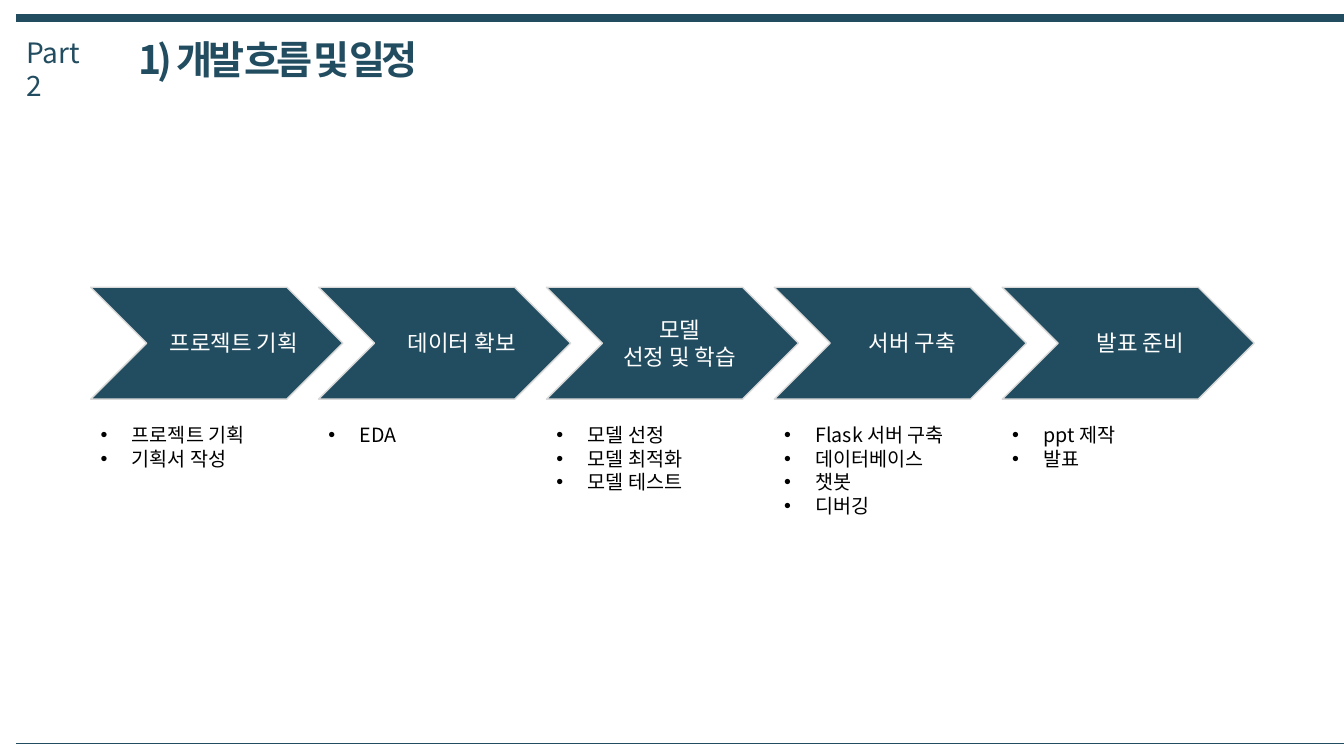
import pptx
import pptx.dml.color
import pptx.enum.shapes
import pptx.enum.text
import pptx.oxml.ns
import pptx.util
from pptx.util import Inches

NAVY = pptx.dml.color.RGBColor(0x22, 0x4D, 0x60)
WHITE = pptx.dml.color.RGBColor(0xFF, 0xFF, 0xFF)
BLACK = pptx.dml.color.RGBColor(0x00, 0x00, 0x00)
GREY = pptx.dml.color.RGBColor(0xD9, 0xD9, 0xD9)
FONT = "Noto Sans CJK KR"
ALIGN = pptx.enum.text.PP_ALIGN

STEP_LEFT, STEP_PITCH = 0.9, 2.26
STEP_TOP, STEP_WIDTH, STEP_HEIGHT = 2.85, 2.5, 1.11

# Label lines, label offset from the chevron's left edge, tasks
STEPS = [
    (["프로젝트 기획"], 0.58, ["프로젝트 기획", "기획서 작성"]),
    (["데이터 확보"], 0.58, ["EDA"]),
    (["모델", "선정 및 학습"], 0.48, ["모델 선정", "모델 최적화", "모델 테스트"]),
    (["서버 구축"], 0.53, ["Flask 서버 구축", "데이터베이스", "챗봇", "디버깅"]),
    (["발표 준비"], 0.53, ["ppt 제작", "발표"]),
]
STEPS[2] = (STEPS[2][0], 0.48, STEPS[2][2])


def add_rule(slide, y, weight):
    rule = slide.shapes.add_connector(
        pptx.enum.shapes.MSO_CONNECTOR.STRAIGHT,
        Inches(0.16), Inches(y), Inches(13.35), Inches(y))
    rule.line.color.rgb = NAVY
    rule.line.width = pptx.util.Pt(weight)
    properties = rule._element.spPr
    properties.append(properties.makeelement(pptx.oxml.ns.qn("a:effectLst"), {}))


def add_bullet(paragraph):
    properties = paragraph._p.get_or_add_pPr()
    indent = Inches(0.31)
    properties.set("marL", str(indent))
    properties.set("indent", str(-indent))
    for tag, attribute, value in (("a:buFont", "typeface", "Arial"),
                                  ("a:buChar", "char", "•")):
        properties.append(properties.makeelement(pptx.oxml.ns.qn(tag), {attribute: value}))


def write_lines(frame, lines, size, color, align=ALIGN.LEFT, bold=False,
                bulleted=False, tracking=None):
    """Fill a text frame with one paragraph per line."""
    frame.word_wrap = True
    frame.vertical_anchor = pptx.enum.text.MSO_ANCHOR.TOP
    font_format = {"size": pptx.util.Pt(size), "bold": bold, "name": FONT}
    for number, line in enumerate(lines):
        paragraph = frame.add_paragraph() if number else frame.paragraphs[0]
        paragraph.alignment = align
        if bulleted:
            add_bullet(paragraph)
        run = paragraph.add_run()
        run.text = line
        for attribute, value in font_format.items():
            setattr(run.font, attribute, value)
        run.font.color.rgb = color
        properties = run._r.get_or_add_rPr()
        properties.append(properties.makeelement(pptx.oxml.ns.qn("a:ea"), {"typeface": FONT}))
        if tracking is not None:
            properties.set("spc", str(tracking * 100))


def add_text(slide, left, top, width, height, lines, size, color, **options):
    box = slide.shapes.add_textbox(Inches(left), Inches(top), Inches(width), Inches(height))
    write_lines(box.text_frame, lines, size, color, **options)


def add_title(slide, text):
    title = slide.shapes.title
    bounds = {"left": 1.27, "top": 0.3, "width": 5.79, "height": 0.57}
    for attribute, value in bounds.items():
        setattr(title, attribute, Inches(value))
    title.text_frame.auto_size = pptx.enum.text.MSO_AUTO_SIZE.NONE
    write_lines(title.text_frame, [text], 28, NAVY, bold=True, tracking=-3)
    title.text_frame.paragraphs[0].line_spacing = 1.0


def add_chevron(slide, left):
    chevron = slide.shapes.add_shape(
        pptx.enum.shapes.MSO_SHAPE.CHEVRON, Inches(left), Inches(STEP_TOP),
        Inches(STEP_WIDTH), Inches(STEP_HEIGHT))
    chevron.shadow.inherit = False
    chevron.fill.solid()
    chevron.fill.fore_color.rgb = NAVY
    chevron.line.color.rgb = GREY
    chevron.line.width = pptx.util.Pt(1)


def add_step(slide, left, label, label_offset, tasks):
    add_chevron(slide, left)
    label_height = 0.1 + 0.27 * len(label)
    label_top = STEP_TOP + (STEP_HEIGHT - label_height) / 2
    add_text(slide, left + label_offset, label_top, 1.68, label_height,
             label, 16, WHITE, align=ALIGN.CENTER)
    add_text(slide, left, 4.15, 2.16, 0.1 + 0.235 * len(tasks),
             tasks, 14, BLACK, bulleted=True)


def main():
    presentation = pptx.Presentation()
    presentation.slide_width = Inches(13.33)
    presentation.slide_height = Inches(7.5)
    slide = presentation.slides.add_slide(presentation.slide_layouts.get_by_name("Title Only"))

    add_rule(slide, 0.18, 6)
    add_text(slide, 0.16, 0.3, 0.87, 0.44, ["Part 2"], 20, NAVY)
    add_title(slide, "1) 개발 흐름 및 일정")
    add_rule(slide, 7.37, 0.25)
    for number, (label, label_offset, tasks) in enumerate(STEPS):
        add_step(slide, STEP_LEFT + number * STEP_PITCH, label, label_offset, tasks)
    presentation.save("out.pptx")


if __name__ == "__main__":
    main()
